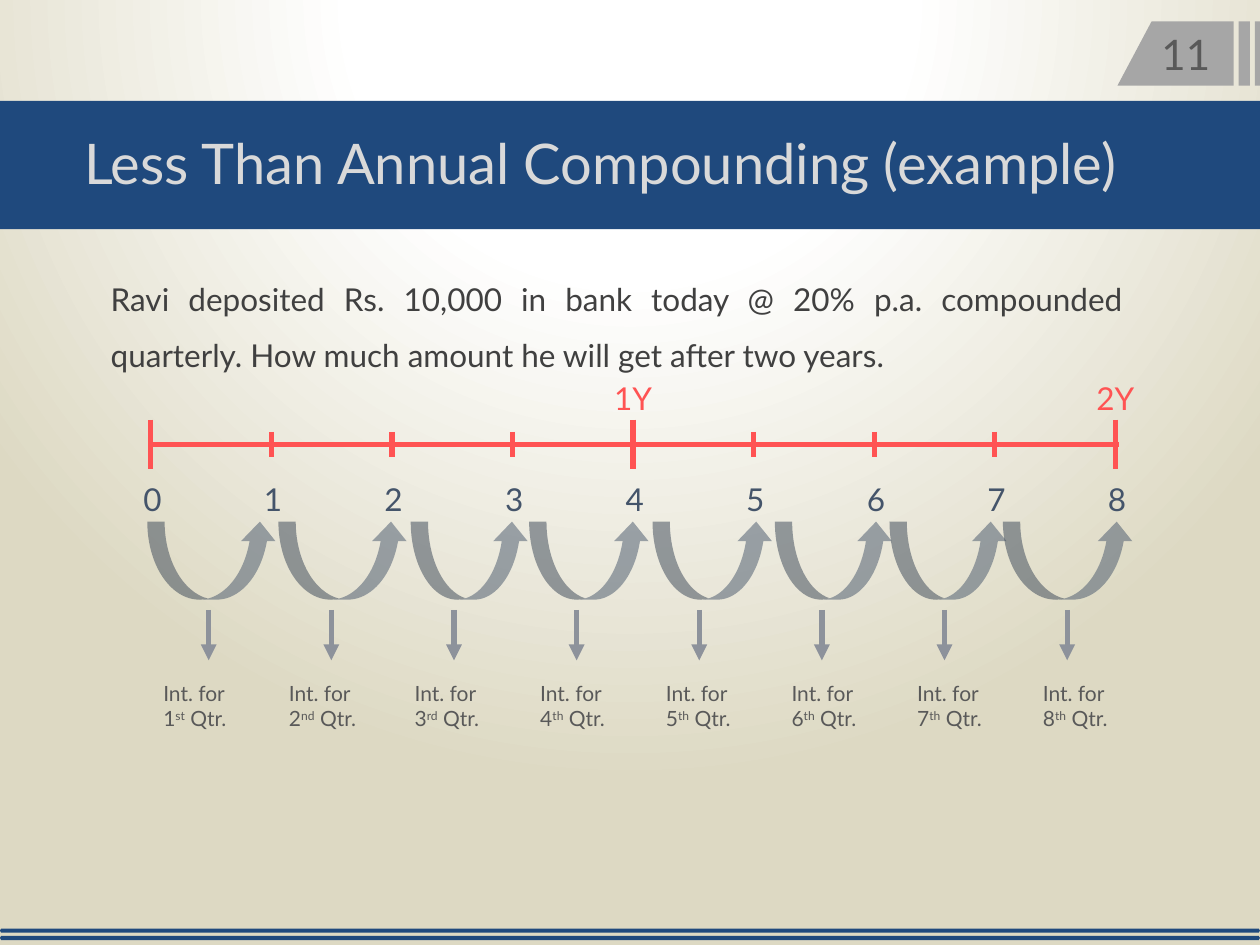
from lxml import etree
from pptx import Presentation
from pptx.dml.color import RGBColor
from pptx.enum.shapes import MSO_CONNECTOR as CONNECTOR, MSO_SHAPE as SHAPE
from pptx.enum.text import PP_ALIGN as ALIGN
from pptx.oxml.ns import qn
from pptx.util import Pt

WIDTH, HEIGHT = 720, 540
NAVY, GREY, RED, SLATE = "1F497D", "595959", "FF5353", "44546A"
QUARTERS = 8


def color(value):
    return RGBColor.from_string(value)


def sub(parent, tag, **attributes):
    return etree.SubElement(parent, qn(tag), attributes)


def paint(shape, fill):
    shape.shadow.inherit = False
    shape.fill.solid()
    shape.fill.fore_color.rgb = color(fill)
    shape.line.fill.background()


def add_text(slide, box, pieces, size, ink):
    """Place one paragraph; every second piece is superscript."""
    frame = slide.shapes.add_textbox(*map(Pt, box)).text_frame
    frame.word_wrap = True
    paragraph = frame.paragraphs[0]
    for index, piece in enumerate(pieces):
        run = paragraph.add_run()
        run.text = piece
        if index % 2:
            run._r.get_or_add_rPr().set("baseline", "30000")
    paragraph.font.name = "Lato"
    paragraph.font.size = Pt(size)
    paragraph.font.color.rgb = color(ink)
    return paragraph


def add_line(slide, x1, y1, x2, y2, ink, arrow=False):
    line = slide.shapes.add_connector(CONNECTOR.STRAIGHT, *map(Pt, (x1, y1, x2, y2)))
    line.line.color.rgb = color(ink)
    line.line.width = Pt(3)
    if arrow:
        sub(line.line._get_or_add_ln(), "a:tailEnd", type="triangle")
    sub(line.element.spPr, "a:effectLst")


def add_outline(slide, left, top, contours, fill):
    builder = None
    for contour in contours:
        start, *rest = [(Pt(left + x), Pt(top + y)) for x, y in contour]
        if builder is None:
            builder = slide.shapes.build_freeform(*start)
        else:
            builder.move_to(*start)
        builder.add_line_segments(rest, close=True)
    paint(builder.convert_to_shape(), fill)


def add_background(slide):
    slide.background.fill.gradient()
    gradient = slide.element.find(".//" + qn("a:gradFill"))
    for child in list(gradient):
        gradient.remove(child)
    stops = sub(gradient, "a:gsLst")
    for position, value in ((0, "FFFFFF"), (35, "FFFFFF"), (100, "DDD9C3")):
        stop = sub(stops, "a:gs", pos=str(position * 1000))
        sub(stop, "a:srgbClr", val=value)
    circle = sub(gradient, "a:path", path="circle")
    sub(circle, "a:fillToRect", l="50000", t="-80000", r="50000", b="180000")


def add_title_band(slide, top, height):
    paint(slide.shapes.add_shape(SHAPE.RECTANGLE, 0, Pt(top), Pt(WIDTH), Pt(height)), NAVY)
    add_text(slide, (41, top + 12.2, 638, 46), ["Less Than Annual Compounding (example)"],
             32, "D9D9D9")


def add_footer_rules(slide, top):
    bars = [[(0, y + 1.2), (0.7, y), (WIDTH - 0.7, y), (WIDTH, y + 1.2),
             (WIDTH - 0.7, y + 2.4), (0.7, y + 2.4)] for y in (4.2, 0)]
    add_outline(slide, 0, top, bars, NAVY)


def add_page_tag(slide, left, top, height):
    # Two stripes and a slanted tab: top-left, bottom-left, right
    parts = ((78.5, 78.5, 81.4), (69.2, 69.2, 75.6), (19.5, 0, 66.3))
    contours = [[(upper, 0), (right, 0), (right, height), (lower, height)]
                for upper, lower, right in parts]
    add_outline(slide, left, top, contours, "A6A6A6")
    add_text(slide, (left + 18, top + 0.8, 48.2, 36), ["11"], 24, GREY)


def add_question(slide, box):
    question = add_text(slide, box, [
        "Ravi deposited Rs. 10,000 in bank today @ 20% p.a. compounded quarterly. "
        "How much amount he will get after two years."], 18, "404040")
    question.alignment = ALIGN.JUSTIFY
    question.line_spacing = 1.5


def add_timeline(slide, left, axis, width):
    step = width / QUARTERS
    add_line(slide, left, axis, left + width + 2, axis, RED)
    for quarter in range(QUARTERS + 1):
        x = left + quarter * step
        year, rest = divmod(quarter, 4)
        half = 7.2 if rest else 14.2
        add_line(slide, x, axis - half, x, axis + half, RED)
        add_text(slide, (x - 11.4, axis + 16.7, 29.5, 29.5), [str(quarter)], 18, SLATE)
        if year and not rest:
            add_text(slide, (x - 18, axis - 41, 39, 29.5), [f"{year}Y"], 18, RED)


def add_interest_arcs(slide, left, top, height):
    # Offset and width of each arc
    arcs = ((0, 74.2), (74.9, 74.2), (150.5, 67.7), (218.2, 69.1),
            (288.7, 69.1), (358.6, 67.7), (424.1, 67.7), (488.9, 74.9))
    for offset, width in arcs:
        arc = slide.shapes.add_shape(SHAPE.CURVED_DOWN_ARROW, Pt(left + offset), Pt(top),
                                     Pt(width), Pt(height))
        for index, value in enumerate((0.222, 0.442, 0.25)):
            arc.adjustments[index] = value
        paint(arc, SLATE)
        properties = arc.element.spPr
        properties.find(qn("a:xfrm")).set("flipV", "1")
        tint = properties.find(qn("a:solidFill")).find(qn("a:srgbClr"))
        sub(tint, "a:alpha", val="50000")


def add_interest_labels(slide, left, top):
    suffixes = {1: "st", 2: "nd", 3: "rd"}
    for index in range(QUARTERS):
        quarter = index + 1
        x = left + 33.1 + index * 70.07
        add_line(slide, x, top, x, top + 28.8, "8D929B", arrow=True)
        add_text(slide, (left + index * 71.8, top + 36.7, 58.3, 36),
                 [f"Int. for {quarter}", suffixes.get(quarter, "th"), " Qtr."], 12, GREY)


def main():
    deck = Presentation()
    deck.slide_width, deck.slide_height = Pt(WIDTH), Pt(HEIGHT)
    slide = deck.slides.add_slide(deck.slide_layouts[6])

    # Page frame
    add_background(slide)
    add_title_band(slide, 57.6, 73.4)
    add_footer_rules(slide, 530.6)
    add_page_tag(slide, 638.6, 12.2, 36.7)

    # Worked example
    add_question(slide, (56.2, 145.4, 592.6, 68.4))
    add_timeline(slide, 86.2, 254, 551.2)
    add_interest_arcs(slide, 84.2, 298.1, 44.6)
    add_interest_labels(slide, 86.2, 348.5)

    deck.save("out.pptx")


if __name__ == "__main__":
    main()
